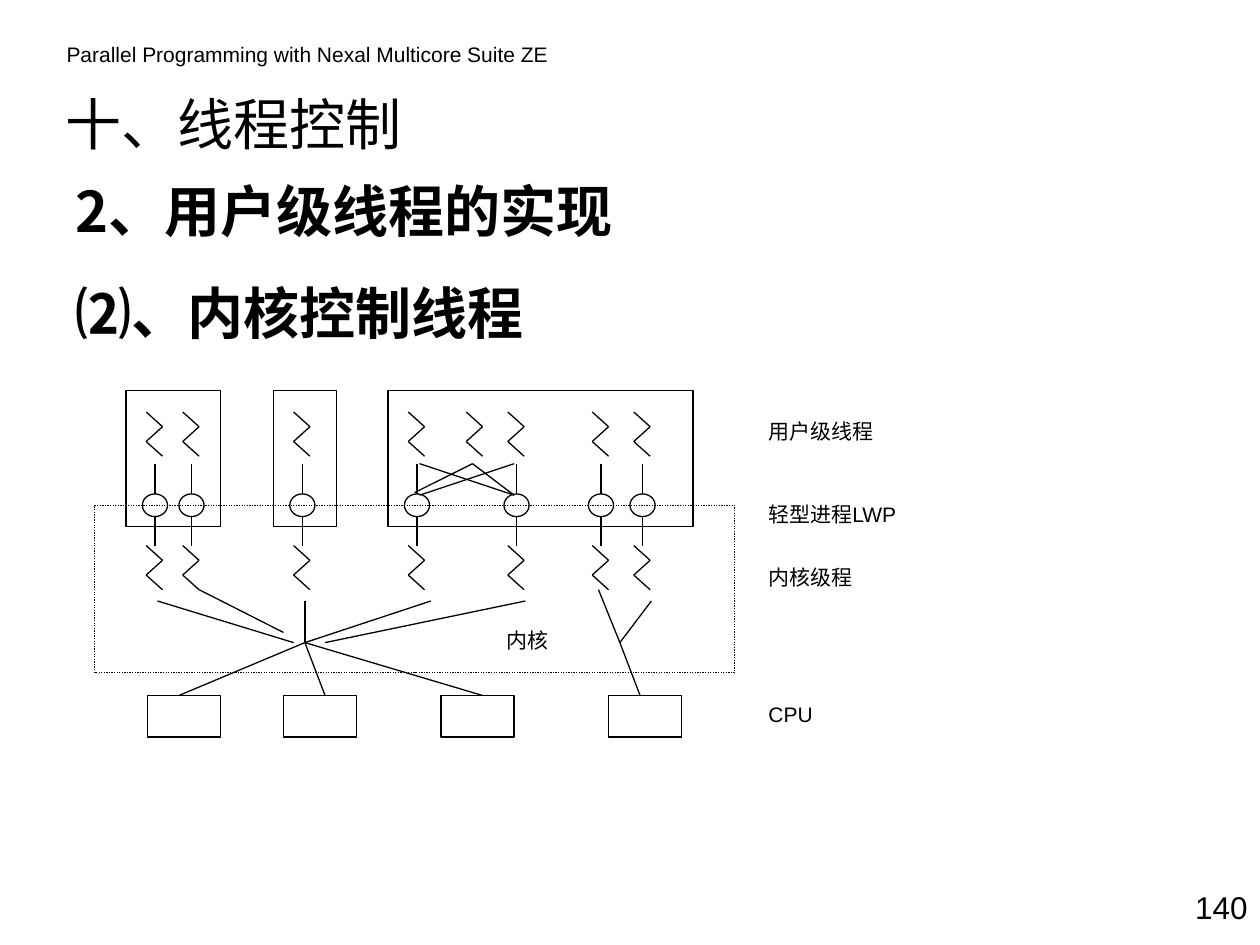
from itertools import pairwise

from lxml.etree import SubElement
from pptx import Presentation
from pptx.dml.color import RGBColor
from pptx.enum.dml import MSO_LINE_DASH_STYLE as Dash
from pptx.enum.shapes import MSO_CONNECTOR as Connector, MSO_SHAPE as Shape
from pptx.enum.text import MSO_ANCHOR as Anchor, PP_ALIGN as Align
from pptx.oxml.ns import qn
from pptx.util import Inches, Pt

BLACK = "000000"
CJK_FONT = "Noto Sans CJK SC"
THREAD_LEFTS = [1.16, 1.45, 2.33, 3.24, 4.03, 4.7, 5.03]
UNBOUND_THREAD_LEFT = 3.7
USER_TOP, KERNEL_TOP = 3.27, 4.33
PROCESSES = [(1, 0.75), (2.17, 0.5), (3.08, 2.42)]
CPU_LEFTS = [1.17, 2.25, 3.5, 4.83]
HUB, SIDE_HUB = (2.42, 5.1), (4.92, 5.1)
LINKS = [
    ((3.75, 3.68), (3.29, 3.91)),
    ((3.75, 3.68), (4.08, 3.93)),
    ((4.08, 3.68), (3.33, 3.93)),
    ((3.33, 3.68), (4.08, 3.93)),
    (HUB, (1.42, 5.52)),
    (HUB, (2.58, 5.52)),
    (HUB, (3.83, 5.52)),
    ((1.25, 4.77), (2.33, 5.1)),
    ((1.58, 4.68), (2.25, 5.02)),
    ((2.42, 4.77), HUB),
    ((3.42, 4.77), HUB),
    ((4.17, 4.77), (2.58, 5.1)),
    ((4.75, 4.68), SIDE_HUB),
    ((5.17, 4.77), SIDE_HUB),
    (SIDE_HUB, (5.08, 5.52)),
]
LABELS = [
    ("CPU", 6, 5.52, 0.92),
    ("轻型进程LWP", 6, 3.93, 1.33),
    ("用户级线程", 6, 3.27, 1.25),
    ("内核级程", 6, 4.43, 0.92),
    ("内核", 3.92, 4.93, 0.92),
]


def color(value):
    """Turn a hex string into a colour."""
    return RGBColor.from_string(value)


def apply(target, formats):
    """Set every attribute named in a dict of format values."""
    for name, value in formats.items():
        setattr(target, name, value)


def add_text(shapes, lines, area, size=12, font="Arial", bold=False,
             anchor=Anchor.TOP, **para_formats):
    """Add a text box with one paragraph for each line."""
    box = shapes.add_textbox(*map(Inches, area))
    frame = box.text_frame
    apply(frame, {"word_wrap": True, "vertical_anchor": anchor})
    for index, line in enumerate(lines):
        para = frame.paragraphs[0] if index == 0 else frame.add_paragraph()
        apply(para, para_formats)
        span = para.add_run()
        span.text = line
        apply(span.font, {"size": Pt(size), "name": font, "bold": bold})
        span.font.color.rgb = color(BLACK)
        east_asian = SubElement(span.font._element, qn("a:ea"))
        east_asian.set("typeface", CJK_FONT)


def add_outline(shapes, kind, left, top, width, height, dash=None):
    """Add an unfilled shape with a thin black outline."""
    shape = shapes.add_shape(kind, *map(Inches, (left, top, width, height)))
    shape.shadow.inherit = False
    shape.fill.background()
    shape.line.color.rgb = color(BLACK)
    apply(shape.line, {"width": Pt(0.75), "dash_style": dash})


def add_line(shapes, start, end):
    """Add a thin black straight line between two points."""
    line = shapes.add_connector(Connector.STRAIGHT, *map(Inches, (*start, *end)))
    line.line.color.rgb = color(BLACK)
    line.line.width = Pt(0.75)
    SubElement(line._element.spPr, qn("a:effectLst"))


def add_zigzag(shapes, left, top):
    """Add the three-stroke zigzag that stands for a thread."""
    points = [(left + 0.13 * (step % 2), top + 0.117 * step) for step in range(4)]
    for start, end in pairwise(points):
        add_line(shapes, start, end)


def add_thread_column(shapes, left):
    """Add a user thread, its lightweight process and its kernel thread."""
    center = left + 0.07
    add_zigzag(shapes, left, USER_TOP)
    add_line(shapes, (center, 3.68), (center, 3.92))
    add_outline(shapes, Shape.OVAL, center - 0.1, 3.92, 0.2, 0.18)
    add_line(shapes, (center, 4.1), (center, KERNEL_TOP))
    add_zigzag(shapes, left, KERNEL_TOP)


def add_diagram(shapes):
    """Add the processes, threads, kernel, processors and labels."""
    for left, width in PROCESSES:
        add_outline(shapes, Shape.RECTANGLE, left, 3.1, width, 1.08)
    for left in THREAD_LEFTS:
        add_thread_column(shapes, left)
    add_zigzag(shapes, UNBOUND_THREAD_LEFT, USER_TOP)
    for left in CPU_LEFTS:
        add_outline(shapes, Shape.RECTANGLE, left, 5.52, 0.58, 0.33)
    for start, end in LINKS:
        add_line(shapes, start, end)
    add_outline(shapes, Shape.RECTANGLE, 0.75, 4.01, 5.08, 1.33, Dash.ROUND_DOT)
    for text, left, top, width in LABELS:
        add_text(shapes, [text], (left, top, width, 0.3))


def main():
    """Build the slide and save the deck."""
    deck = Presentation()
    apply(deck, {"slide_width": Inches(10), "slide_height": Inches(7.5)})
    shapes = deck.slides.add_slide(deck.slide_layouts[6]).shapes
    add_text(shapes, ["Parallel Programming with Nexal Multicore Suite ZE"],
             (0.43, 0.28, 4.1, 0.3))
    add_text(shapes, ["十、线程控制"], (0.42, 0.6, 6.25, 0.75), 32, CJK_FONT,
             anchor=Anchor.MIDDLE)
    add_text(shapes, ["140"], (9.08, 7, 0.92, 0.4), 18, alignment=Align.RIGHT)
    add_text(shapes, ["2、用户级线程的实现", "⑵、内核控制线程"],
             (0.5, 1.35, 9.5, 4.75), 32, CJK_FONT, True, space_before=Pt(20))
    add_diagram(shapes.add_group_shape().shapes)
    deck.save("out.pptx")


if __name__ == "__main__":
    main()
